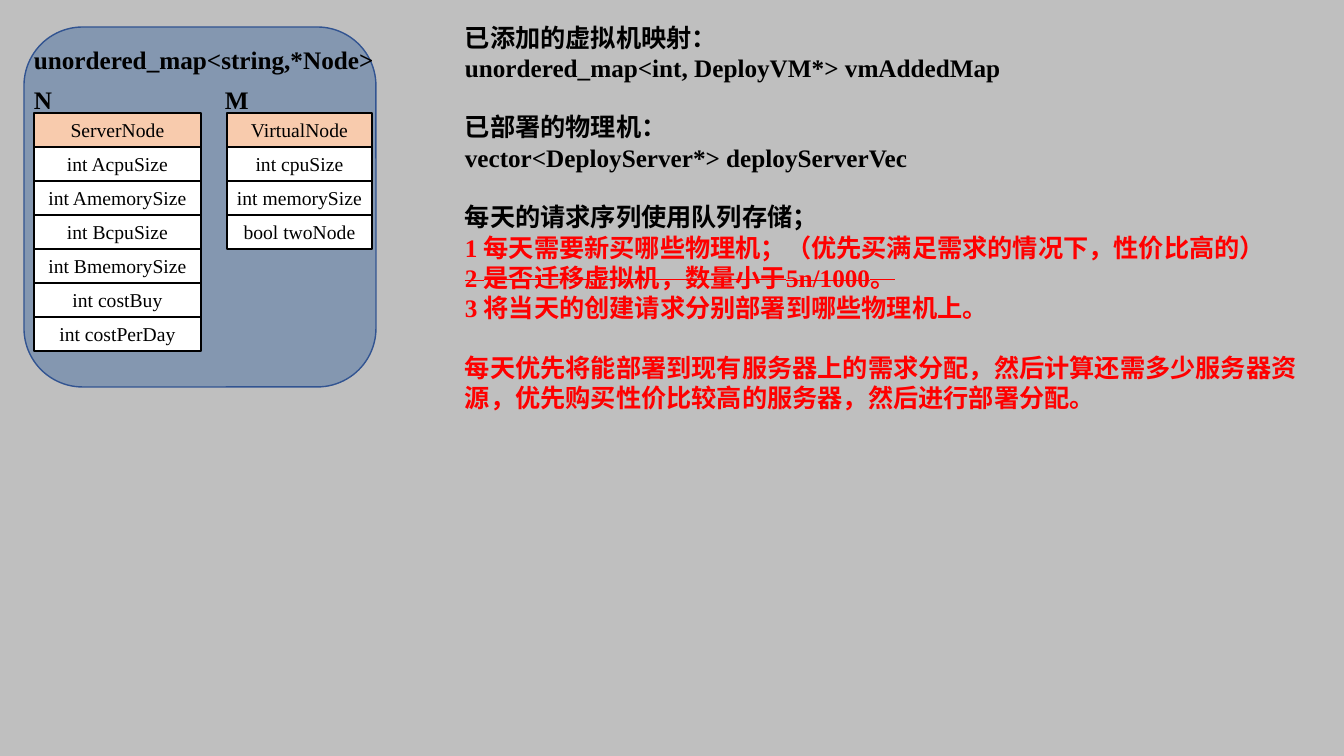
from pptx import Presentation
from pptx import util as u
from pptx.dml.color import RGBColor
from pptx.enum import shapes, text

PX = 914400 / 100.8
FONT = "Times New Roman"
GREY = RGBColor(0xBF, 0xBF, 0xBF)
SLATE = RGBColor(0x84, 0x97, 0xB0)
BLUE = RGBColor(0x32, 0x54, 0x91)
PEACH = RGBColor(0xF8, 0xCB, 0xAD)
WHITE = RGBColor(0xFF, 0xFF, 0xFF)
BLACK = RGBColor(0, 0, 0)
RED = RGBColor(0xFF, 0, 0)

ROW_HEIGHT = 34
NODES_TOP = 113
# Each node: left, width, header and fields
NODES = [
    (34, 167, ["ServerNode", "int AcpuSize", "int AmemorySize", "int BcpuSize",
               "int BmemorySize", "int costBuy", "int costPerDay"]),
    (227, 145, ["VirtualNode", "int cpuSize", "int memorySize", "bool twoNode"]),
]
# Each label: left, top, width, wording
LABELS = [
    (24, 39, 364, "unordered_map<string,*Node>"),
    (24, 79, 39, "N"),
    (215, 79, 44, "M"),
]
# Groups of lines, set apart by paragraph spacing: wording, colour, struck out
NOTES = [
    [("已添加的虚拟机映射：", BLACK, False),
     ("unordered_map<int, DeployVM*> vmAddedMap", BLACK, False)],
    [("已部署的物理机：", BLACK, False),
     ("vector<DeployServer*> deployServerVec", BLACK, False)],
    [("每天的请求序列使用队列存储；", BLACK, False),
     ("1 每天需要新买哪些物理机；（优先买满足需求的情况下，性价比高的）", RED, False),
     ("2 是否迁移虚拟机，数量小于5n/1000。", RED, True),
     ("3 将当天的创建请求分别部署到哪些物理机上。", RED, False)],
    [("每天优先将能部署到现有服务器上的需求分配，然后计算还需多少服务器资源，"
      "优先购买性价比较高的服务器，然后进行部署分配。", RED, False)],
]


def px(*lengths):
    return [u.Emu(round(length * PX)) for length in lengths]


def add_span(para, wording, size, color=BLACK, bold=False, struck=False):
    span = para.add_run()
    span.text = wording
    span.font.name = FONT
    span.font.size = u.Pt(size)
    span.font.bold = bold
    span.font.color.rgb = color
    if struck:
        span.font._element.set("strike", "sngStrike")


def add_box(page, kind, place, fill, line, weight):
    box = page.shapes.add_shape(kind, *px(*place))
    box.shadow.inherit = False
    box.fill.solid()
    box.fill.fore_color.rgb = fill
    box.line.color.rgb = line
    box.line.width = u.Pt(weight)
    return box


def add_node(page, left, width, rows):
    for index, wording in enumerate(rows):
        place = (left, NODES_TOP + index * ROW_HEIGHT, width, ROW_HEIGHT)
        box = add_box(page, shapes.MSO_SHAPE.RECTANGLE, place,
                      WHITE if index else PEACH, BLACK, 1.5)
        frame = box.text_frame
        frame.margin_left = frame.margin_right = 0
        frame.vertical_anchor = text.MSO_ANCHOR.MIDDLE
        para = frame.paragraphs[0]
        para.alignment = text.PP_ALIGN.CENTER
        add_span(para, wording, 14)


def add_text_frame(page, place, wrap):
    frame = page.shapes.add_textbox(*px(*place)).text_frame
    frame.word_wrap = wrap
    frame.auto_size = text.MSO_AUTO_SIZE.SHAPE_TO_FIT_TEXT
    return frame


def add_label(page, left, top, width, wording):
    frame = add_text_frame(page, (left, top, width, 40), False)
    add_span(frame.paragraphs[0], wording, 18, bold=True)


def add_notes(page, place, groups):
    frame = add_text_frame(page, place, True)
    para = frame.paragraphs[0]
    for group_index, group in enumerate(groups):
        for line_index, (wording, color, struck) in enumerate(group):
            if group_index or line_index:
                para = frame.add_paragraph()
            if group_index and not line_index:
                para.space_before = u.Pt(21)
            add_span(para, wording, 18, color, True, struck)


def main():
    deck = Presentation()
    deck.slide_width, deck.slide_height = px(1344, 756)
    page = deck.slides.add_slide(deck.slide_layouts[6])
    page.background.fill.solid()
    page.background.fill.fore_color.rgb = GREY

    # Map of nodes
    add_box(page, shapes.MSO_SHAPE.ROUNDED_RECTANGLE, (24, 27, 352, 360),
            SLATE, BLUE, 1)
    for node in NODES:
        add_node(page, *node)
    for label in LABELS:
        add_label(page, *label)

    # Notes on the right
    add_notes(page, (455, 17, 866, 407), NOTES)
    deck.save("out.pptx")


if __name__ == "__main__":
    main()
